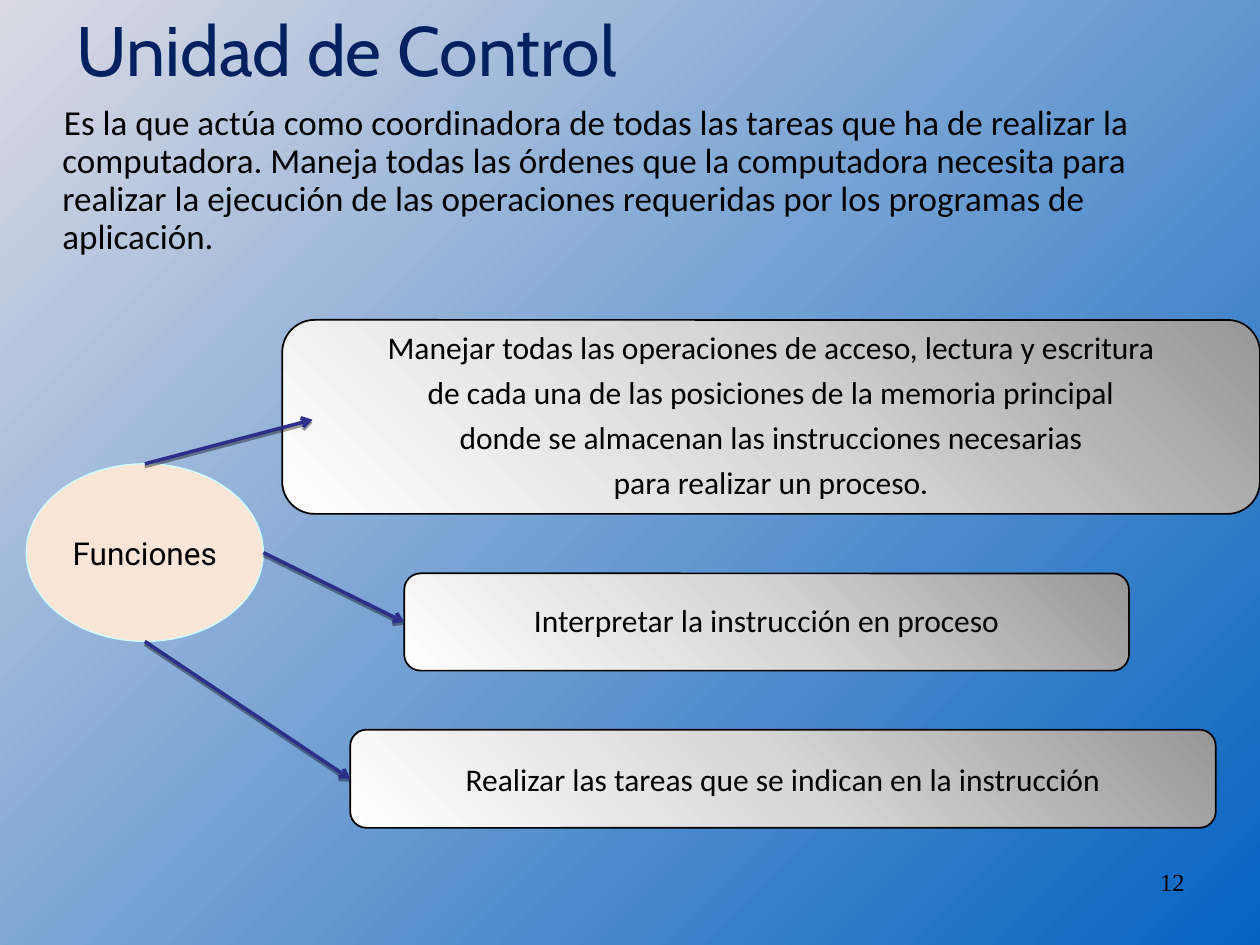
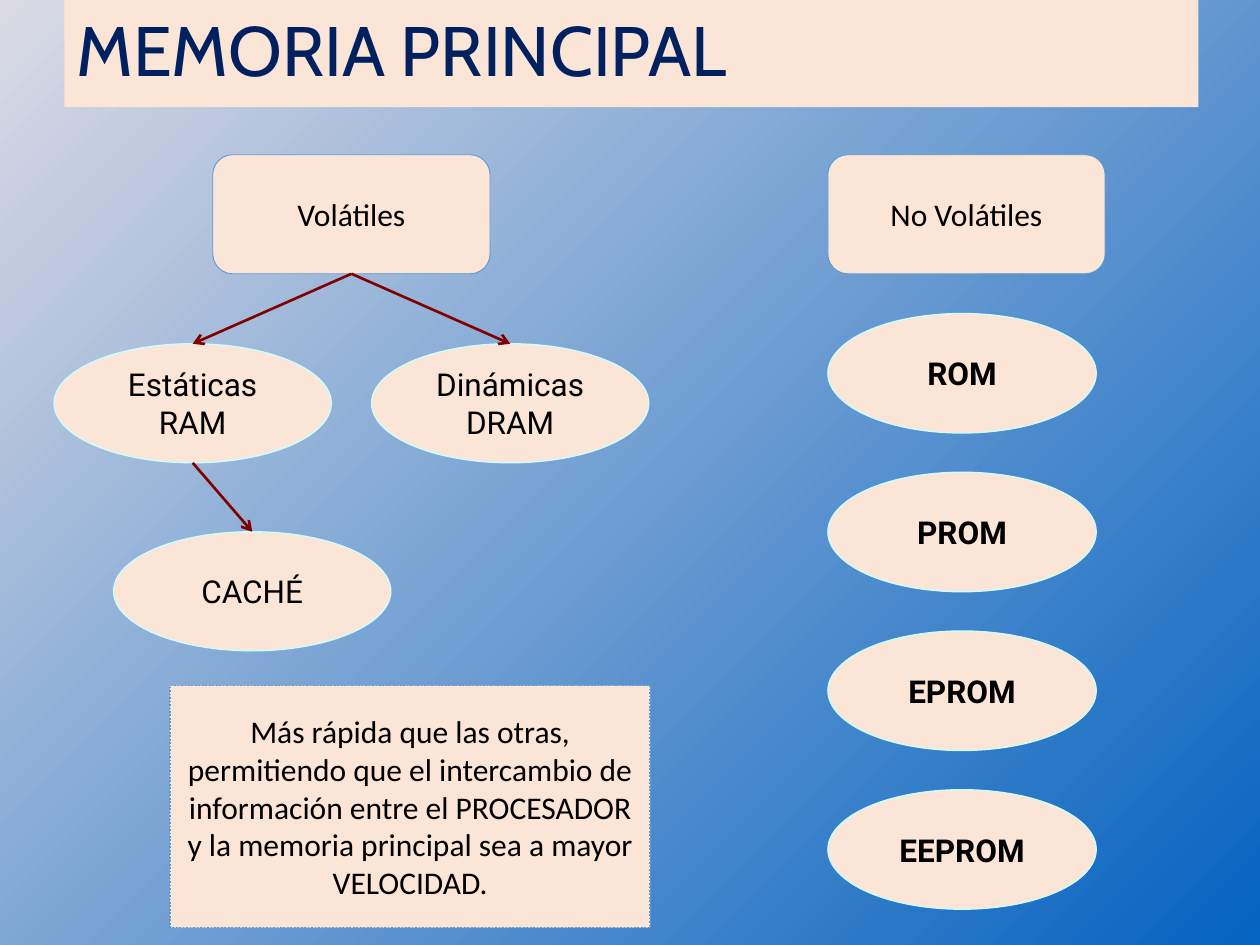
from copy import deepcopy
from dataclasses import dataclass

from lxml import etree
from pptx import Presentation
from pptx.dml.color import RGBColor
from pptx.enum.dml import MSO_LINE
from pptx.enum.shapes import MSO_CONNECTOR, MSO_SHAPE
from pptx.enum.text import MSO_ANCHOR, PP_ALIGN
from pptx.oxml.ns import qn
from pptx.util import Cm, Pt

ELLIPSE = MSO_SHAPE.OVAL
ROUNDED = MSO_SHAPE.ROUNDED_RECTANGLE
RECT = MSO_SHAPE.RECTANGLE
STRAIGHT = MSO_CONNECTOR.STRAIGHT
DOTTED = MSO_LINE.ROUND_DOT
LEFT, CENTER, RIGHT = PP_ALIGN.LEFT, PP_ALIGN.CENTER, PP_ALIGN.RIGHT
TOP, MIDDLE = MSO_ANCHOR.TOP, MSO_ANCHOR.MIDDLE

BLACK, NAVY, CREAM = "000000", "002060", "FBE5D6"
ICE, SKY, INDIGO, MAROON = "CCFFFF", "5B9BD5", "2D2D8A", "800000"
BACKGROUND = ("DBDAE4", "0563C1")
SILVER = ("979797", "D7D7D7", "FFFFFF")

Point = tuple[float, float]


@dataclass
class Node:
    text: str
    left: float
    top: float
    width: float
    height: float
    shape: MSO_SHAPE = ELLIPSE
    fill: str | tuple = CREAM
    line: str = ICE
    weight: float = 0.75
    font: str = "Roboto"
    bold: bool = False
    wrap: bool = False
    dotted: bool = False
    spacing: float = 1.0
    after: float = 0

    @property
    def north(self) -> Point:
        return self.left + self.width / 2, self.top

    @property
    def south(self) -> Point:
        return self.left + self.width / 2, self.top + self.height

    @property
    def west(self) -> Point:
        return self.left, self.top + self.height / 2

    @property
    def east(self) -> Point:
        return self.left + self.width, self.top + self.height / 2


@dataclass
class Arrow:
    start: Point
    end: Point
    color: str
    weight: float
    shadow: bool = False


def rgb(color: str) -> RGBColor:
    return RGBColor.from_string(color)


def set_gradient(fill, holder, colors: tuple, angle: float) -> None:
    fill.gradient()
    fill.gradient_angle = angle
    stops = next(holder.iter(qn("a:gsLst")))
    for _ in colors[2:]:
        stops.insert(1, deepcopy(stops[0]))
    for i, (stop, color) in enumerate(zip(fill.gradient_stops, colors)):
        stop.color.rgb = rgb(color)
        stop.position = i / (len(colors) - 1)


def write(sp, text: str, font: str, size: float, color: str = BLACK, bold: bool = False,
          align=LEFT, anchor=MIDDLE, wrap: bool = True, spacing: float = 1.0,
          after: float = 0) -> None:
    tf = sp.text_frame
    tf.text = text
    tf.word_wrap = wrap
    tf.vertical_anchor = anchor
    for p in tf.paragraphs:
        p.alignment = align
        p.line_spacing = spacing
        p.space_after = Pt(after)
        for r in p.runs:
            r.font.name = font
            r.font.size = Pt(size)
            r.font.bold = bold
            r.font.color.rgb = rgb(color)


def add_text(s, left: float, top: float, width: float, height: float):
    return s.shapes.add_textbox(Cm(left), Cm(top), Cm(width), Cm(height))


def add_node(s, node: Node) -> None:
    sp = s.shapes.add_shape(node.shape, Cm(node.left), Cm(node.top),
                            Cm(node.width), Cm(node.height))
    sp.shadow.inherit = False
    if isinstance(node.fill, tuple):
        set_gradient(sp.fill, sp._element, node.fill, 225)
    else:
        sp.fill.solid()
        sp.fill.fore_color.rgb = rgb(node.fill)
    sp.line.color.rgb = rgb(node.line)
    sp.line.width = Pt(node.weight)
    if node.dotted:
        sp.line.dash_style = DOTTED
    write(sp, node.text, node.font, 18, bold=node.bold, align=CENTER, wrap=node.wrap,
          spacing=node.spacing, after=node.after)


def add_arrow(s, arrow: Arrow) -> None:
    ends = [Cm(v) for v in (*arrow.start, *arrow.end)]
    c = s.shapes.add_connector(STRAIGHT, *ends)
    c.line.color.rgb = rgb(arrow.color)
    c.line.width = Pt(arrow.weight)
    etree.SubElement(c.line._get_or_add_ln(), qn("a:tailEnd"), type="arrow")
    effects = etree.SubElement(c._element.spPr, qn("a:effectLst"))
    if arrow.shadow:
        shadow = etree.SubElement(effects, qn("a:outerShdw"), dist=str(Pt(1.6)),
                                  dir="5400000", rotWithShape="0")
        tint = etree.SubElement(shadow, qn("a:srgbClr"), val=BLACK)
        etree.SubElement(tint, qn("a:alpha"), val="38000")


def add_slide(prs, title: str, band: str | None = None):
    s = prs.slides.add_slide(prs.slide_layouts[6])
    set_gradient(s.background.fill, s._element, BACKGROUND, 315)
    sp = add_text(s, 1.3, 0, 22.86, 2.16)
    if band:
        sp.fill.solid()
        sp.fill.fore_color.rgb = rgb(band)
    write(sp, title, "Cabin", 40, NAVY, spacing=0.9)
    return s


def draw(s, nodes: list[Node], arrows: list[Arrow]) -> None:
    for node in nodes:
        add_node(s, node)
    for arrow in arrows:
        add_arrow(s, arrow)


def build_control_unit(prs) -> None:
    s = add_slide(prs, "Unidad de Control")
    intro = add_text(s, 0.53, 2, 24.4, 4.37)
    write(intro, "Es la que actúa como coordinadora de todas las tareas que ha de realizar la "
          "computadora. Maneja todas las órdenes que la computadora necesita para realizar la "
          "ejecución de las operaciones requeridas por los programas de aplicación.",
          "Calibri", 20, anchor=TOP, spacing=0.9)
    pPr = intro.text_frame.paragraphs[0]._p.get_or_add_pPr()
    pPr.set("marL", str(Cm(0.48)))
    pPr.set("indent", str(Cm(0.03)))
    write(add_text(s, 18.21, 17.35, 5.92, 1.32), "12", "Times New Roman", 14,
          align=RIGHT, anchor=TOP)

    box = dict(shape=ROUNDED, fill=SILVER, line=BLACK, weight=1, font="Calibri")
    tight = dict(spacing=0.9, after=6.3)
    functions = Node("Funciones", 0.53, 9.35, 4.78, 3.58)
    memory = Node("Manejar todas las operaciones de acceso, lectura y escritura\n"
                  "de cada una de las posiciones de la memoria principal\n"
                  "donde se almacenan las instrucciones necesarias\n"
                  "para realizar un proceso.", 5.69, 6.45, 19.71, 3.91, **box, **tight)
    interpret = Node("Interpretar la instrucción en proceso",
                     8.15, 11.56, 14.61, 1.96, **box, **tight)
    perform = Node("Realizar las tareas que se indican en la instrucción",
                   7.06, 14.71, 17.45, 1.98, **box)
    links = [(functions.north, (6.3, 8.46)), (functions.east, interpret.west),
             (functions.south, perform.west)]
    draw(s, [functions, memory, interpret, perform],
         [Arrow(a, b, INDIGO, 2, shadow=True) for a, b in links])


def build_main_memory(prs) -> None:
    s = add_slide(prs, "MEMORIA PRINCIPAL", CREAM)
    size = dict(width=5.59, height=2.4)
    heading = dict(top=3.12, shape=ROUNDED, line=SKY, weight=0.5, font="Calibri", **size)
    volatile = Node("Volátiles", left=4.29, **heading)
    permanent = Node("No Volátiles", left=16.69, **heading)
    static = Node("Estáticas\nRAM", 1.09, 6.93, **size)
    dynamic = Node("Dinámicas\nDRAM", 7.49, 6.93, **size)
    cache = Node("CACHÉ", 2.29, 10.72, **size)
    note = Node("Más rápida que las otras, permitiendo que el intercambio de información entre "
                "el PROCESADOR y la memoria principal sea a mayor VELOCIDAD.",
                3.43, 13.82, 9.68, 4.88, shape=RECT, line=SKY, weight=1, font="Calibri",
                wrap=True, dotted=True)
    roms = [Node(name, 16.69, 6.32 + 3.2 * i, 5.41, 2.41, bold=True)
            for i, name in enumerate(("ROM", "PROM", "EPROM", "EEPROM"))]
    links = [(volatile, static), (volatile, dynamic), (static, cache)]
    draw(s, [volatile, permanent, static, dynamic, cache, note, *roms],
         [Arrow(a.south, b.north, MAROON, 1.5) for a, b in links])


def main() -> None:
    prs = Presentation()
    prs.slide_width, prs.slide_height = Cm(25.4), Cm(19.05)
    build_control_unit(prs)
    build_main_memory(prs)
    prs.save("out.pptx")


if __name__ == "__main__":
    main()
